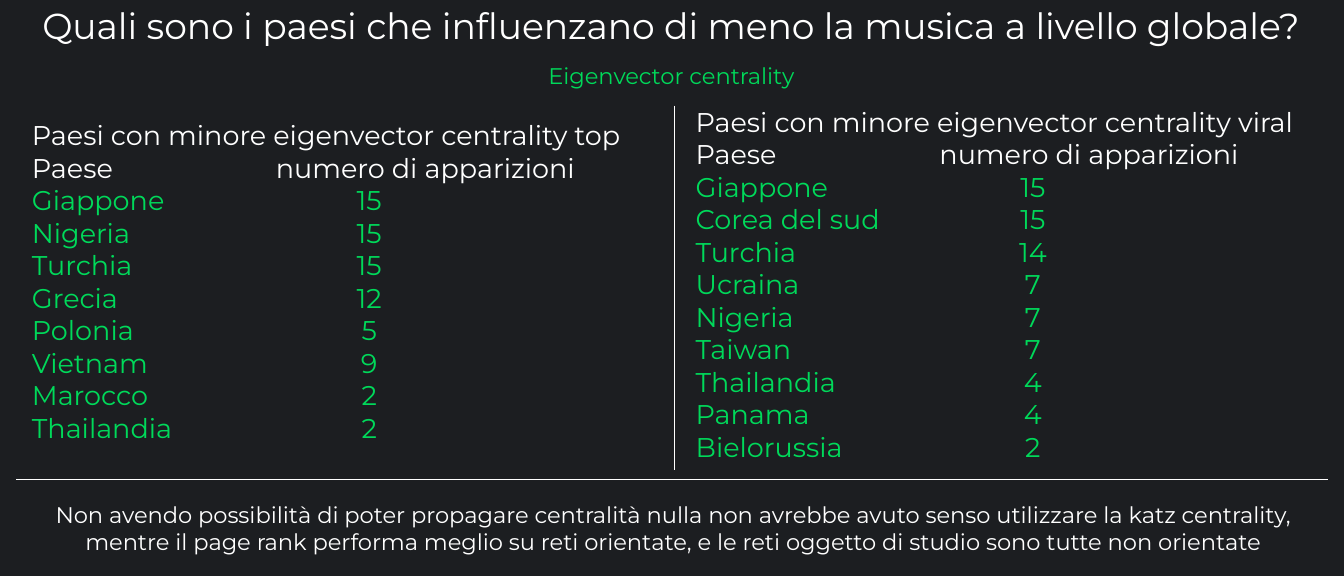
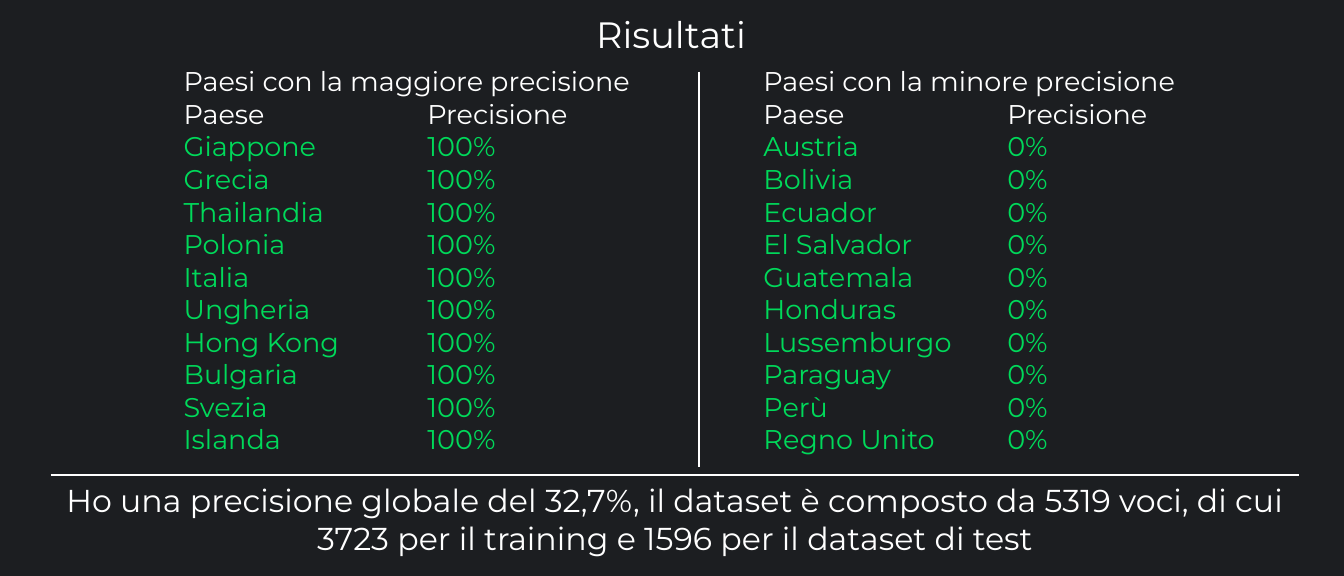
"""Build two slides on country influence and on prediction results."""
from typing import NamedTuple

from lxml import etree
from pptx import Presentation
from pptx.dml.color import RGBColor
from pptx.enum.shapes import MSO_CONNECTOR
from pptx.enum.text import MSO_ANCHOR, MSO_AUTO_SIZE, PP_ALIGN
from pptx.oxml.ns import qn
from pptx.slide import Slide
from pptx.text.text import TextFrame, _Paragraph
from pptx.util import Cm, Pt

BACKGROUND = RGBColor(0x1C, 0x1E, 0x21)
WHITE = RGBColor(0xFF, 0xFF, 0xFF)
GREEN = RGBColor(0x00, 0xD9, 0x5A)
FONT = "Montserrat"
LEFT, CENTER = PP_ALIGN.LEFT, PP_ALIGN.CENTER
MIDDLE = MSO_ANCHOR.MIDDLE
NO_AUTOFIT = MSO_AUTO_SIZE.NONE
STRAIGHT = MSO_CONNECTOR.STRAIGHT
TITLE_ONLY = 5
LIST_SIZE = 12


class Box(NamedTuple):
    """Position and size in centimetres."""
    left: float
    top: float
    width: float
    height: float


class Tab(NamedTuple):
    """Tab stop: distance in centimetres and alignment code."""
    position: float
    alignment: str = "l"


class Segment(NamedTuple):
    """Straight line between two points in centimetres."""
    start_x: float
    start_y: float
    end_x: float
    end_y: float


class Ranking(NamedTuple):
    """Two-column list of countries with a heading."""
    box: Box
    heading: str
    value_label: str
    value_tab: Tab
    rows: list[tuple[str, str]]


class Caption(NamedTuple):
    """Centred text in a box."""
    box: Box
    text: str
    size: float
    color: RGBColor = WHITE


class Page(NamedTuple):
    """Contents of one slide."""
    title: Caption
    captions: list[Caption]
    rankings: list[Ranking]
    rules: list[Segment]


LABEL_TAB = Tab(3.81)
COUNT_TAB = Tab(5.27, "ctr")
COUNT_LABEL = "numero di apparizioni"
PRECISION_LABEL = "Precisione"

PAGES = [
    Page(
        title=Caption(
            Box(0.13, 0.03, 20.73, 0.81),
            "Quali sono i paesi che influenzano di meno la musica a livello globale?", 16),
        captions=[
            Caption(Box(6.53, 0.84, 7.92, 0.69), "Eigenvector centrality", 10, GREEN),
            Caption(
                Box(0.25, 7.7, 20.52, 1.12),
                "Non avendo possibilità di poter propagare centralità nulla non avrebbe avuto "
                "senso utilizzare la katz centrality, mentre il page rank performa meglio su reti "
                "orientate, e le reti oggetto di studio sono tutte non orientate", 10),
        ],
        rankings=[
            Ranking(
                Box(10.62, 1.52, 10.24, 6.1), "Paesi con minore eigenvector centrality viral",
                COUNT_LABEL, COUNT_TAB,
                [("Giappone", "15"), ("Corea del sud", "15"), ("Turchia", "14"),
                 ("Ucraina", "7"), ("Nigeria", "7"), ("Taiwan", "7"),
                 ("Thailandia", "4"), ("Panama", "4"), ("Bielorussia", "2")]),
            Ranking(
                Box(0.25, 1.73, 10.01, 5.38), "Paesi con minore eigenvector centrality top",
                COUNT_LABEL, COUNT_TAB,
                [("Giappone", "15"), ("Nigeria", "15"), ("Turchia", "15"), ("Grecia", "12"),
                 ("Polonia", "5"), ("Vietnam", "9"), ("Marocco", "2"), ("Thailandia", "2")]),
        ],
        rules=[Segment(10.54, 1.65, 10.54, 7.34), Segment(0.25, 7.49, 20.75, 7.49)],
    ),
    Page(
        title=Caption(Box(8.81, 0.25, 3.35, 0.64), "Risultati", 16.2),
        captions=[
            Caption(
                Box(0.51, 7.39, 20.09, 1.45),
                "Ho una precisione globale del 32,7%, il dataset è composto da 5319 voci, di cui "
                "3723 per il training e 1596 per il dataset di test", 14),
        ],
        rankings=[
            Ranking(
                Box(2.62, 0.89, 7.72, 6.4), "Paesi con la maggiore precisione",
                PRECISION_LABEL, LABEL_TAB,
                [(country, "100%") for country in (
                    "Giappone", "Grecia", "Thailandia", "Polonia", "Italia", "Ungheria",
                    "Hong Kong", "Bulgaria", "Svezia", "Islanda")]),
            Ranking(
                Box(11.68, 0.89, 7.44, 6.4), "Paesi con la minore precisione",
                PRECISION_LABEL, LABEL_TAB,
                [(country, "0%") for country in (
                    "Austria", "Bolivia", "Ecuador", "El Salvador", "Guatemala", "Honduras",
                    "Lussemburgo", "Paraguay", "Perù", "Regno Unito")]),
        ],
        rules=[Segment(10.92, 1.12, 10.92, 7.29), Segment(0.79, 7.42, 20.29, 7.42)],
    ),
]


def write_text(paragraph: _Paragraph, text: str, *, size: float,
               color: RGBColor = WHITE, alignment: PP_ALIGN = LEFT) -> None:
    """Write one formatted run into a paragraph."""
    paragraph.alignment = alignment
    run = paragraph.add_run()
    run.text = text
    run.font.name = FONT
    run.font.size = Pt(size)
    run.font.color.rgb = color


def set_tab(paragraph: _Paragraph, tab: Tab) -> None:
    """Give a paragraph a single tab stop."""
    properties = paragraph._p.get_or_add_pPr()
    tab_list = etree.SubElement(properties, qn("a:tabLst"))
    etree.SubElement(tab_list, qn("a:tab"), pos=str(Cm(tab.position)), algn=tab.alignment)


def add_text_frame(slide: Slide, box: Box) -> TextFrame:
    """Add a wrapping text box and return its text frame."""
    shape = slide.shapes.add_textbox(*map(Cm, box))
    shape.text_frame.word_wrap = True
    return shape.text_frame


def set_title(slide: Slide, title: Caption) -> None:
    """Place and format the title placeholder."""
    shape = slide.shapes.title
    shape.left, shape.top, shape.width, shape.height = map(Cm, title.box)
    text_frame = shape.text_frame
    text_frame.word_wrap = True
    text_frame.auto_size = NO_AUTOFIT
    text_frame.vertical_anchor = MIDDLE
    paragraph = text_frame.paragraphs[0]
    paragraph.line_spacing = 0.9
    write_text(paragraph, title.text, size=title.size, color=title.color, alignment=CENTER)


def add_caption(slide: Slide, caption: Caption) -> None:
    """Add a centred text box."""
    paragraph = add_text_frame(slide, caption.box).paragraphs[0]
    write_text(paragraph, caption.text, size=caption.size, color=caption.color, alignment=CENTER)


def add_ranking(slide: Slide, ranking: Ranking) -> None:
    """Add a heading, column labels and tabbed country rows."""
    text_frame = add_text_frame(slide, ranking.box)
    write_text(text_frame.paragraphs[0], ranking.heading, size=LIST_SIZE)
    lines = [("Paese", ranking.value_label, LABEL_TAB, WHITE)]
    lines += [(country, value, ranking.value_tab, GREEN) for country, value in ranking.rows]
    for country, value, tab, color in lines:
        paragraph = text_frame.add_paragraph()
        set_tab(paragraph, tab)
        write_text(paragraph, f"{country}\t{value}", size=LIST_SIZE, color=color)


def add_rule(slide: Slide, segment: Segment) -> None:
    """Add a thin white line."""
    connector = slide.shapes.add_connector(STRAIGHT, *map(Cm, segment))
    connector.line.color.rgb = WHITE
    connector.line.width = Pt(0.75)
    etree.SubElement(connector._element.spPr, qn("a:effectLst"))


def main() -> None:
    """Build and save the presentation."""
    presentation = Presentation()
    presentation.slide_width, presentation.slide_height = Cm(21), Cm(9)
    background = presentation.slide_master.background.fill
    background.solid()
    background.fore_color.rgb = BACKGROUND
    for page in PAGES:
        slide = presentation.slides.add_slide(presentation.slide_layouts[TITLE_ONLY])
        set_title(slide, page.title)
        for caption in page.captions:
            add_caption(slide, caption)
        for ranking in page.rankings:
            add_ranking(slide, ranking)
        for segment in page.rules:
            add_rule(slide, segment)
    presentation.save("out.pptx")


if __name__ == "__main__":
    main()
